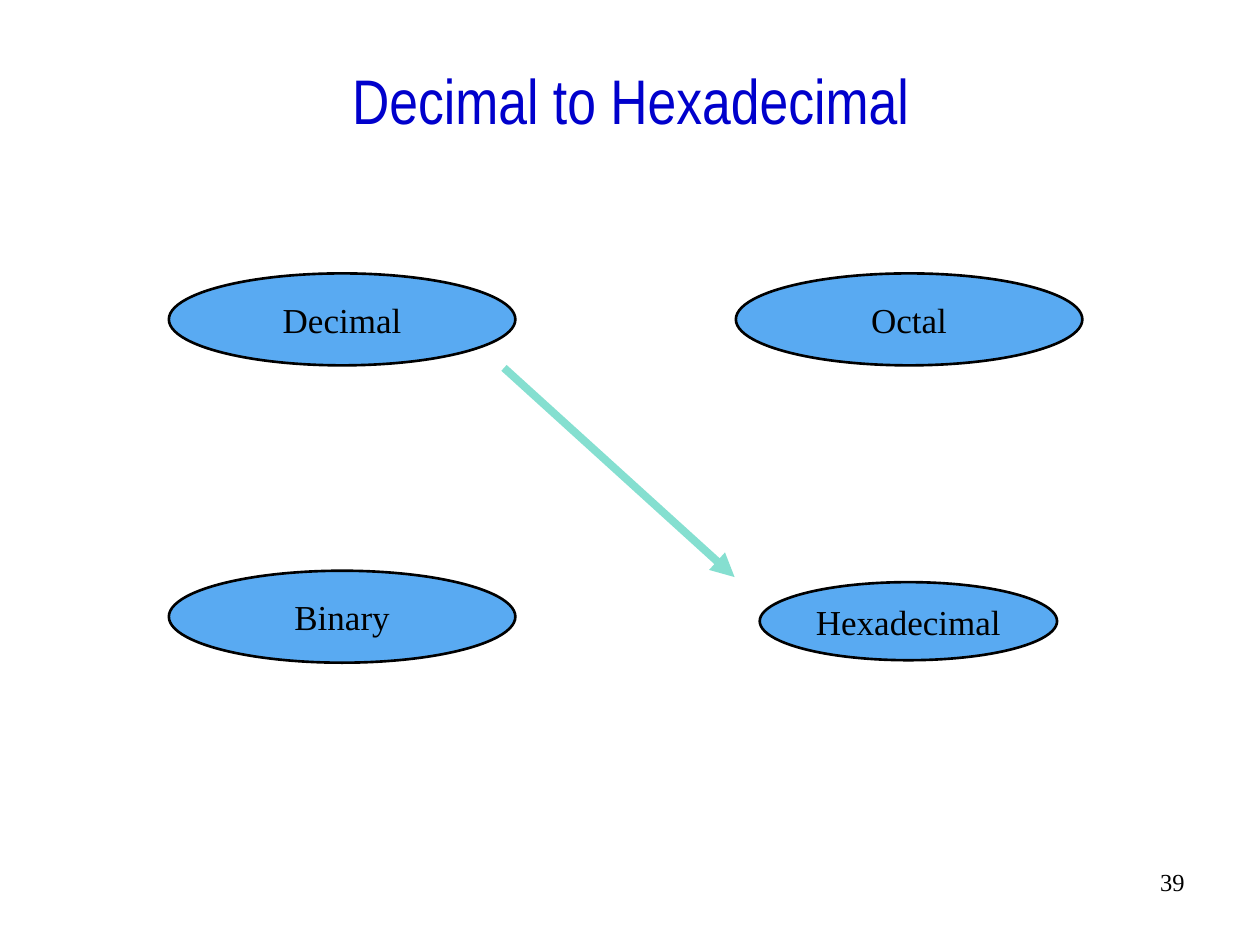
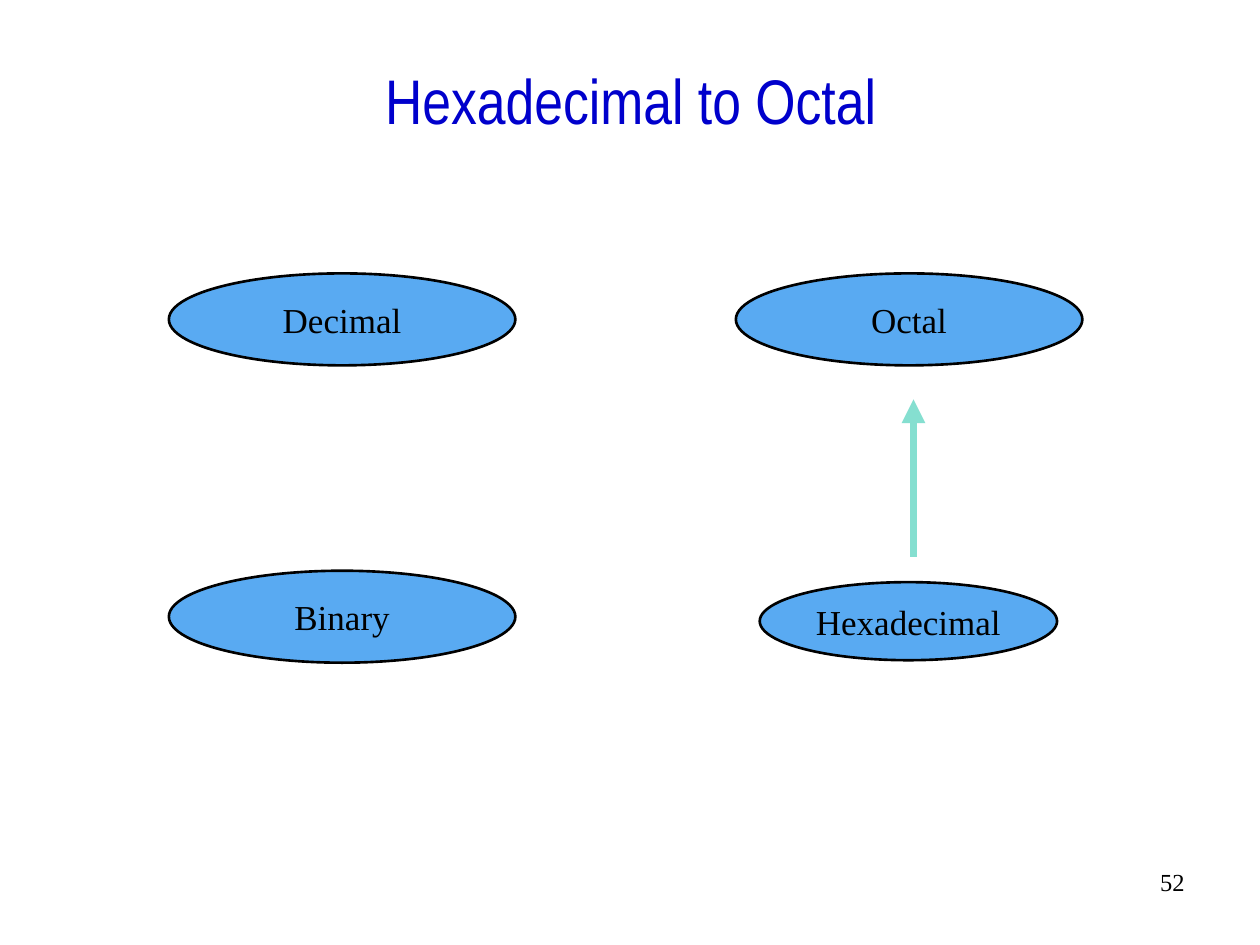
from lxml import etree
from pptx import Presentation
from pptx import util as u
from pptx.dml.color import RGBColor
from pptx.enum import shapes, text
from pptx.oxml.ns import qn

BLACK = RGBColor(0x00, 0x00, 0x00)
TITLE_BLUE = RGBColor(0x00, 0x00, 0xCC)
OVAL_BLUE = RGBColor(0x59, 0xAA, 0xF2)
ARROW_TEAL = RGBColor(0x85, 0xDF, 0xD0)
TITLE_FONT = "Arial Narrow"
BODY_FONT = "Times New Roman"

# Name, left, top, width, height of each number system
LEFT, RIGHT, TOP, WIDTH, HEIGHT = 1.34, 5.84, 2.17, 2.75, 0.73
SYSTEMS = [
    ("Hexadecimal", 6.03, 4.62, 2.36, 0.62),
    ("Decimal", LEFT, TOP, WIDTH, HEIGHT),
    ("Octal", RIGHT, TOP, WIDTH, HEIGHT),
    ("Binary", LEFT, 4.53, WIDTH, HEIGHT),
]

# Title, arrow start, arrow end, slide number
CONVERSIONS = [
    ("Decimal to Hexadecimal", (4, 2.92), (5.83, 4.58), 39),
    ("Hexadecimal to Octal", (7.25, 4.42), (7.25, 3.17), 52),
]


def write(sp, words, font=BODY_FONT, size=20, color=BLACK,
          align=text.PP_ALIGN.CENTER, anchor=text.MSO_ANCHOR.MIDDLE, wrap=True):
    tf = sp.text_frame
    tf.word_wrap = wrap
    tf.vertical_anchor = anchor
    p = tf.paragraphs[0]
    p.alignment = align
    r = p.add_run()
    r.text = words
    r.font.name = font
    r.font.size = u.Pt(size)
    r.font.color.rgb = color


class Deck:
    def __init__(self):
        self.prs = Presentation()
        self.prs.slide_width = u.Inches(10)
        self.prs.slide_height = u.Inches(7.5)
        self.s = None

    def new_slide(self):
        self.s = self.prs.slides.add_slide(self.prs.slide_layouts[6])

    def text_box(self, words, *box, **style):
        sp = self.s.shapes.add_textbox(*map(u.Inches, box))
        write(sp, words, **style)

    def title(self, words):
        self.text_box(words, 0.17, 0.33, 9.67, 0.92,
                      font=TITLE_FONT, size=36, color=TITLE_BLUE)

    def number(self, value):
        self.text_box(str(value), 7.42, 6.83, 2.08, 0.5, size=14,
                      align=text.PP_ALIGN.RIGHT, anchor=text.MSO_ANCHOR.TOP)

    def oval(self, words, *box):
        sp = self.s.shapes.add_shape(shapes.MSO_SHAPE.OVAL, *map(u.Inches, box))
        sp.shadow.inherit = False
        sp.fill.solid()
        sp.fill.fore_color.rgb = OVAL_BLUE
        sp.line.color.rgb = BLACK
        sp.line.width = u.Pt(1.5)
        write(sp, words, wrap=False)

    def arrow(self, start, end):
        cn = self.s.shapes.add_connector(shapes.MSO_CONNECTOR.STRAIGHT,
                                         *map(u.Inches, start + end))
        cn.line.color.rgb = ARROW_TEAL
        cn.line.width = u.Pt(4.5)
        # Arrowhead at the end, no shadow
        sp_pr = cn.element.spPr
        etree.SubElement(sp_pr.find(qn("a:ln")), qn("a:tailEnd"), type="triangle")
        etree.SubElement(sp_pr, qn("a:effectLst"))


def main():
    deck = Deck()
    for title, start, end, number in CONVERSIONS:
        deck.new_slide()
        deck.title(title)
        for system in SYSTEMS:
            deck.oval(*system)
        deck.arrow(start, end)
        deck.number(number)
    deck.prs.save("out.pptx")


if __name__ == "__main__":
    main()
